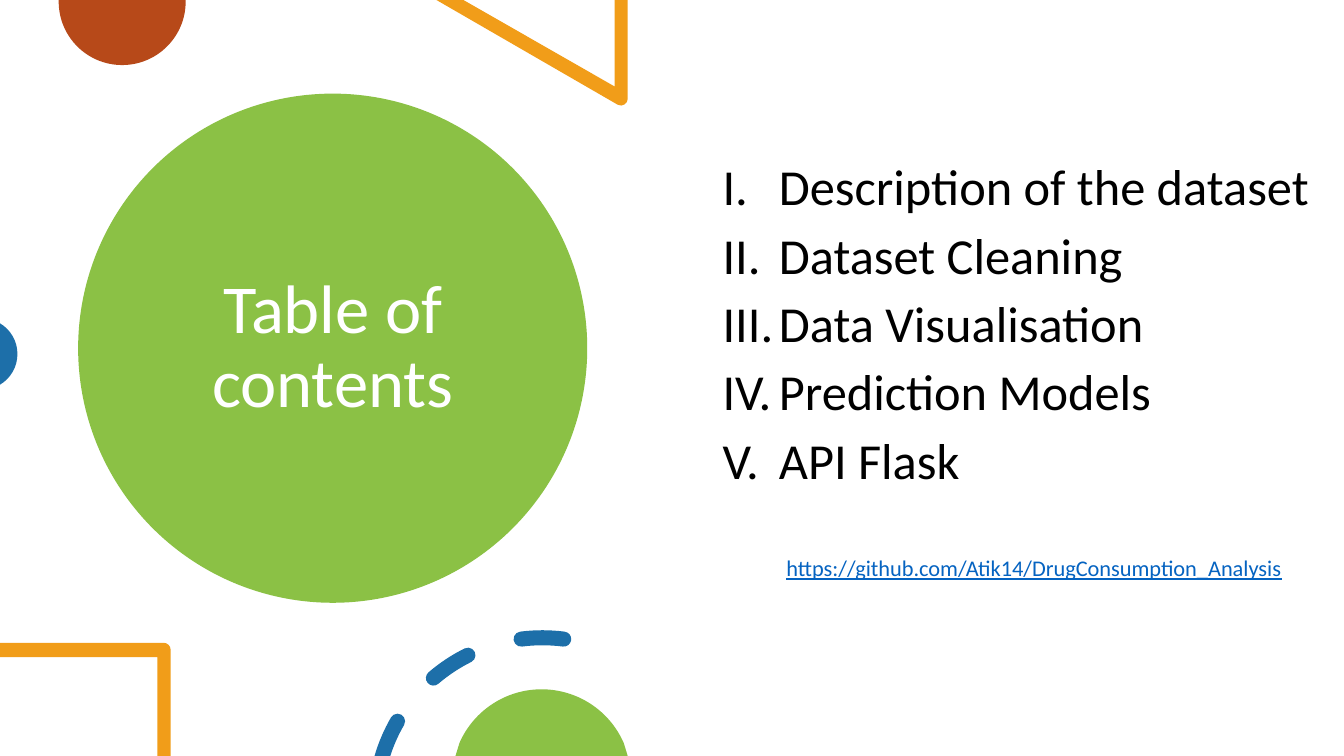
from dataclasses import dataclass
from math import ceil, cos, radians, sin, tan

from lxml.etree import SubElement
from pptx import Presentation
from pptx.dml.color import RGBColor
from pptx.enum.shapes import MSO_SHAPE
from pptx.enum.text import MSO_ANCHOR, MSO_AUTO_SIZE, PP_ALIGN
from pptx.oxml.ns import qn
from pptx.util import Cm, Pt

COLORS = {
    "green": "8BC145", "rust": "B74919", "orange": "F19D19", "blue": "1D6FA9",
    "white": "FFFFFF", "black": "000000", "link": "0563C1",
}
TOPICS = ["Description of the dataset", "Dataset Cleaning", "Data Visualisation",
          "Prediction Models", "API Flask"]
REPOSITORY = "https://github.com/Atik14/DrugConsumption_Analysis"
RING_X, RING_Y, RING_RADIUS, DASH_HALF = 13.67, 20.29, 4.22, 0.19

Point = tuple[float, float]
Step = tuple[Point, ...]


@dataclass(frozen=True)
class Ornament:
    """A filled decoration: outlines of one-point lines and three-point curves."""
    color: str
    outlines: list[list[Step]]


def corners(*points: Point) -> list[Step]:
    """Return straight steps through the points."""
    return [(point,) for point in points]


def arc(x: float, y: float, radius: float, start: float, end: float) -> list[Step]:
    """Return a step to the start of an arc and its Bézier curves, angles clockwise."""
    count = ceil(abs(end - start) / 90)
    sweep = radians(end - start) / count
    reach = radius * 4 / 3 * tan(sweep / 4)
    angles = [radians(start) + sweep * i for i in range(count + 1)]
    knots = [(x + radius * cos(a), y + radius * sin(a)) for a in angles]
    pulls = [(-reach * sin(a), reach * cos(a)) for a in angles]
    curves = [((px + ax, py + ay), (qx - bx, qy - by), (qx, qy))
              for (px, py), (ax, ay), (qx, qy), (bx, by)
              in zip(knots, pulls, knots[1:], pulls[1:])]
    return [(knots[0],), *curves]


def cap(angle: float, turn: float) -> list[Step]:
    """Return the round end of a dash at an angle on the ring."""
    x = RING_X + RING_RADIUS * cos(radians(angle))
    y = RING_Y + RING_RADIUS * sin(radians(angle))
    return arc(x, y, DASH_HALF, turn, turn + 180)[1:]


def cut_dash(outer_start: float, inner_start: float, end: float) -> list[Step]:
    """Return a ring dash that is round at its end only."""
    return (arc(RING_X, RING_Y, RING_RADIUS + DASH_HALF, outer_start, end)
            + cap(end, end)
            + arc(RING_X, RING_Y, RING_RADIUS - DASH_HALF, end, inner_start)[1:])


def dash(start: float, end: float) -> list[Step]:
    """Return a ring dash with two round ends."""
    return cut_dash(start, start, end) + cap(start, start + 180)


ORNAMENTS = [
    Ornament("rust", [corners((4.68, 0), (1.48, 0)) + arc(3.08, 0.04, 1.6, 180, 0)]),
    Ornament("orange", [corners((15.82, 0), (15.49, 0), (15.49, 2.18), (11.68, 0),
                                (11, 0)) + arc(15.65, 2.49, 0.17, 117, 0)]),
    Ornament("blue", [arc(-0.46, 8.92, 0.9, -59, 59)]),
    Ornament("orange", [corners((0, 16.2), (0, 16.56), (3.97, 16.56), (3.97, 19.05),
                                (4.3, 19.05)) + arc(4.13, 16.37, 0.17, 0, -90)]),
    Ornament("blue", [cut_dash(196.3, 197.9, 210.1), dash(229.4, 243.6),
                      dash(262.7, 277.3)]),
    Ornament("green", [corners((11.48, 19.05))
                       + arc(13.65, 19.63, 2.26, 203.7, 336.3)
                       + corners((15.82, 19.05))]),
]


def paint(shape, color: str) -> None:
    """Give a shape a flat fill without line or shadow."""
    shape.shadow.inherit = False
    shape.fill.solid()
    shape.fill.fore_color.rgb = RGBColor.from_string(COLORS[color])
    shape.line.fill.background()


def draw_ornament(slide, ornament: Ornament) -> None:
    """Draw one decoration as a freeform and bend its curved steps."""
    outlines = [[[(Cm(x), Cm(y)) for x, y in step] for step in outline]
                for outline in ornament.outlines]
    builder = slide.shapes.build_freeform(*outlines[0][0][-1])
    for index, (first, *others) in enumerate(outlines):
        if index:
            builder.move_to(*first[-1])
        builder.add_line_segments([step[-1] for step in others], close=True)
    ornament_shape = builder.convert_to_shape()
    paint(ornament_shape, ornament.color)

    steps = [step for outline in outlines for step in outline[1:]]
    segments = list(ornament_shape._element.iter(qn("a:lnTo")))
    for step, segment in zip(steps, segments):
        if len(step) == 3:
            curve = SubElement(segment.getparent(), qn("a:cubicBezTo"))
            for x, y in step:
                SubElement(curve, qn("a:pt"), x=str(x - ornament_shape.left),
                           y=str(y - ornament_shape.top))
            segment.getparent().replace(segment, curve)


def place(shape, left: float, top: float, width: float, height: float) -> None:
    """Place a shape by centimetres."""
    shape.left, shape.top = Cm(left), Cm(top)
    shape.width, shape.height = Cm(width), Cm(height)


def write(frame, lines: list[str], *, size: float, color: str,
          align=PP_ALIGN.LEFT, anchor=MSO_ANCHOR.TOP, gap: float = 0,
          underline: bool = False, numbered: bool = False) -> None:
    """Write formatted paragraphs into a text frame."""
    frame.word_wrap = True
    frame.auto_size = MSO_AUTO_SIZE.NONE
    frame.vertical_anchor = anchor
    for index, line in enumerate(lines):
        paragraph = frame.add_paragraph() if index else frame.paragraphs[0]
        paragraph.alignment = align
        paragraph.line_spacing = 0.9
        paragraph.space_before = Pt(gap if index else 0)
        if numbered:
            properties = paragraph._p.get_or_add_pPr()
            properties.set("marL", str(Cm(1.42)))
            properties.set("indent", str(-Cm(1.42)))
            SubElement(properties, qn("a:buFont"), typeface="+mj-lt")
            SubElement(properties, qn("a:buAutoNum"), type="romanUcPeriod")
        run = paragraph.add_run()
        run.text = line
        run.font.name = "Calibri"
        run.font.size = Pt(size)
        run.font.underline = underline
        run.font.color.rgb = RGBColor.from_string(COLORS[color])


def main() -> None:
    """Build the table of contents slide."""
    deck = Presentation()
    deck.slide_width, deck.slide_height = Cm(33.87), Cm(19.05)
    slide = deck.slides.add_slide(deck.slide_layouts[5])

    heading = slide.shapes.title
    place(heading, 3.89, 5.77, 8.99, 6.02)
    write(heading.text_frame, ["Table of contents"], size=49, color="white",
          align=PP_ALIGN.CENTER, anchor=MSO_ANCHOR.MIDDLE)
    disc = slide.shapes.add_shape(MSO_SHAPE.OVAL, Cm(1.97), Cm(2.36),
                                  Cm(12.83), Cm(12.83))
    paint(disc, "green")
    heading._element.addprevious(disc._element)

    for ornament in ORNAMENTS:
        draw_ornament(slide, ornament)

    contents = slide.shapes.add_textbox(Cm(17.96), Cm(3.96), Cm(15.39), Cm(9.3))
    contents.text_frame.margin_right = 0
    write(contents.text_frame, TOPICS, size=36, color="black", gap=10, numbered=True)
    address = slide.shapes.add_textbox(Cm(19.57), Cm(13.92), Cm(13.36), Cm(1.42))
    write(address.text_frame, [REPOSITORY], size=16, color="link", underline=True)

    deck.save("out.pptx")


if __name__ == "__main__":
    main()
